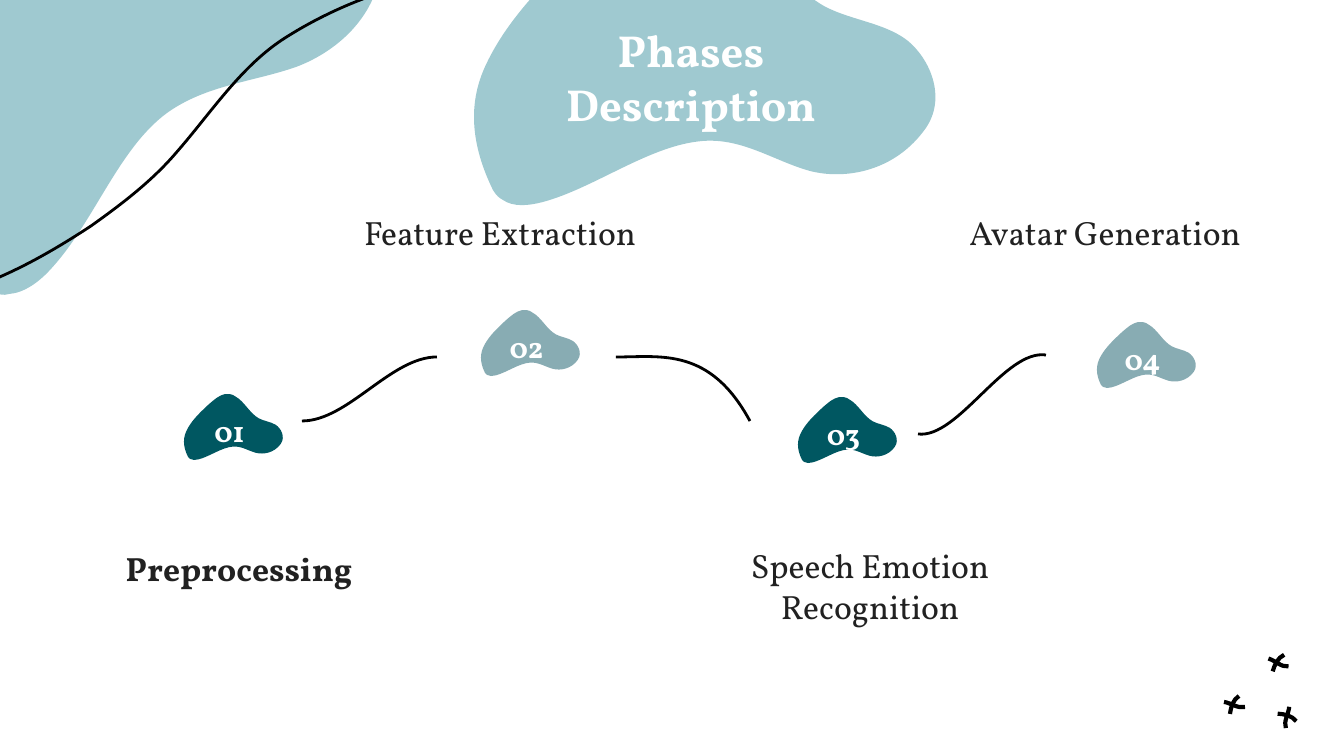
from math import cos, radians, sin

from lxml import etree
from pptx import Presentation
from pptx.dml.color import RGBColor
from pptx.enum.text import MSO_ANCHOR, PP_ALIGN
from pptx.oxml.ns import qn
from pptx.util import Pt

PX = 914400 / 134.4
FONT = "Vollkorn"
COLORS = {"pale": "9FC9D0", "teal": "005761", "grey": "88ACB3",
          "ink": "212121", "black": "000000", "white": "FFFFFF"}

TITLE = ("Phases Description", (509, -22, 364, 198))

# number, badge left and top, badge colour, label, label left and top, bold
PHASES = [
    ("01", (184, 394), "teal", "Preprocessing", (75, 535), True),
    ("02", (481, 310), "grey", "Feature Extraction", (336, 199), False),
    ("03", (798, 397), "teal", "Speech Emotion Recognition", (706, 532), False),
    ("04", (1097, 322), "grey", "Avatar Generation", (941, 199), False),
]
BADGE_SIZE = (99, 66)
NUMBER_OFFSET, NUMBER_SIZE = (6, 5), (79, 54)
LABEL_SIZE = (328, 62)

# Curves: a start point, then two control points and an end point per segment
TITLE_BLOB_BOX = (474, -111, 462, 316)
TITLE_BLOB = [
    (714, -99), (707, -105), (699, -108), (689, -110),
    (681, -112), (673, -112), (665, -110), (653, -108), (640, -101), (628, -93),
    (609, -79), (591, -63), (575, -47), (540, -13), (505, 23), (485, 67),
    (464, 113), (477, 157), (493, 190), (496, 195), (499, 198), (503, 200),
    (513, 207), (528, 206), (543, 202), (595, 188), (650, 145), (703, 141),
    (743, 138), (774, 161), (810, 171), (845, 180), (895, 172), (926, 128),
    (949, 94), (926, 51), (901, 36), (878, 22), (848, 19), (824, 6),
    (780, -19), (757, -75), (714, -99),
]
CORNER_BLOB = [
    (4, -101), (-7, -99), (-17, -97), (-28, -93),
    (-36, -89), (-46, -85), (-52, -78), (-63, -67), (-71, -52), (-78, -38),
    (-87, -15), (-93, 11), (-98, 36), (-108, 87), (-117, 141), (-105, 194),
    (-94, 246), (-48, 276), (-8, 292), (-3, 294), (4, 296), (9, 294),
    (24, 293), (39, 282), (50, 270), (94, 223), (118, 149), (167, 113),
    (206, 85), (253, 82), (296, 67), (339, 51), (383, 12), (382, -47),
    (380, -90), (327, -112), (291, -109), (257, -103), (226, -87), (192, -83),
    (129, -75), (65, -108), (4, -101),
]
CORNER_LINE = [
    (-155, 335), (-128, 310), (-89, 305), (-54, 296),
    (-1, 282), (47, 255), (91, 226), (122, 204), (152, 181), (176, 153),
    (211, 113), (241, 66), (285, 38), (351, -4), (433, -30), (511, -26),
]
PHASE_LINKS = [
    [(302, 421), (348, 421), (391, 357), (437, 357)],
    [(616, 357), (661, 357), (710, 347), (750, 421)],
    [(918, 434), (958, 439), (1005, 349), (1046, 355)],
]
CROSS_ARMS = [
    [(-4, 9), (-3, 2), (-1, -5), (5, -9)],
    [(-10, -3), (-3, -2), (4, 4), (11, 2)],
]
CROSSES = [(1234, 705, 0), (1278, 663, 8), (1287, 717, 85.5)]  # x, y, degrees


def px(n):
    return round(n * PX)


def rgb(name):
    return RGBColor.from_string(COLORS[name])


def badge_outline(x, y):
    """Shrink the title blob to a badge at the given left and top."""
    left, top, width, height = TITLE_BLOB_BOX
    sx, sy = BADGE_SIZE[0] / width, BADGE_SIZE[1] / height
    return [(x + (bx - left) * sx, y + (by - top) * sy) for bx, by in TITLE_BLOB]


def place(points, cx, cy, degrees):
    """Rotate points about the origin, then move them to a centre."""
    c, s = cos(radians(degrees)), sin(radians(degrees))
    return [(cx + x * c - y * s, cy + x * s + y * c) for x, y in points]


def add_outline(slide, points, closed):
    """Build a freeform, then join each three line steps into one Bézier."""
    emu = [(px(x), px(y)) for x, y in points]
    builder = slide.shapes.build_freeform(*emu[0])
    builder.add_line_segments(emu[1:], close=closed)
    s = builder.convert_to_shape()
    s.shadow.inherit = False
    steps = list(s._element.iter(qn("a:lnTo")))
    for i in range(0, len(steps), 3):
        bezier = etree.Element(qn("a:cubicBezTo"))
        steps[i].addprevious(bezier)
        for step in steps[i:i + 3]:
            bezier.append(step[0])
            step.getparent().remove(step)
    return s


def add_blob(slide, points, color):
    s = add_outline(slide, points, True)
    s.fill.solid()
    s.fill.fore_color.rgb = rgb(color)
    s.line.fill.background()


def add_curve(slide, points, width=1.5):
    s = add_outline(slide, points, False)
    s.fill.background()
    s.line.color.rgb = rgb("black")
    s.line.width = Pt(width)


def add_text(slide, text, box, size, color, bold, anchor=MSO_ANCHOR.TOP):
    tf = slide.shapes.add_textbox(*map(px, box)).text_frame
    tf.word_wrap = True
    tf.vertical_anchor = anchor
    tf.margin_left = tf.margin_right = tf.margin_top = tf.margin_bottom = px(13.44)
    p = tf.paragraphs[0]
    p.text = text
    p.alignment = PP_ALIGN.CENTER
    p.font.name = FONT
    p.font.size = Pt(size)
    p.font.bold = bold
    p.font.color.rgb = rgb(color)


def main():
    prs = Presentation()
    prs.slide_width, prs.slide_height = px(1344), px(756)
    slide = prs.slides.add_slide(prs.slide_layouts[6])

    add_blob(slide, CORNER_BLOB, "pale")
    for curve in [CORNER_LINE, *PHASE_LINKS]:
        add_curve(slide, curve)
    for cross in CROSSES:
        for arm in CROSS_ARMS:
            add_curve(slide, place(arm, *cross), 2.25)

    dx, dy = NUMBER_OFFSET
    for number, (x, y), color, label, label_at, bold in PHASES:
        add_blob(slide, badge_outline(x, y), color)
        add_text(slide, number, (x + dx, y + dy, *NUMBER_SIZE), 16, "white", True)
        add_text(slide, label, (*label_at, *LABEL_SIZE), 18, "ink", bold)

    add_blob(slide, TITLE_BLOB, "pale")
    add_text(slide, *TITLE, 24, "white", True, MSO_ANCHOR.MIDDLE)
    prs.save("out.pptx")


if __name__ == "__main__":
    main()
